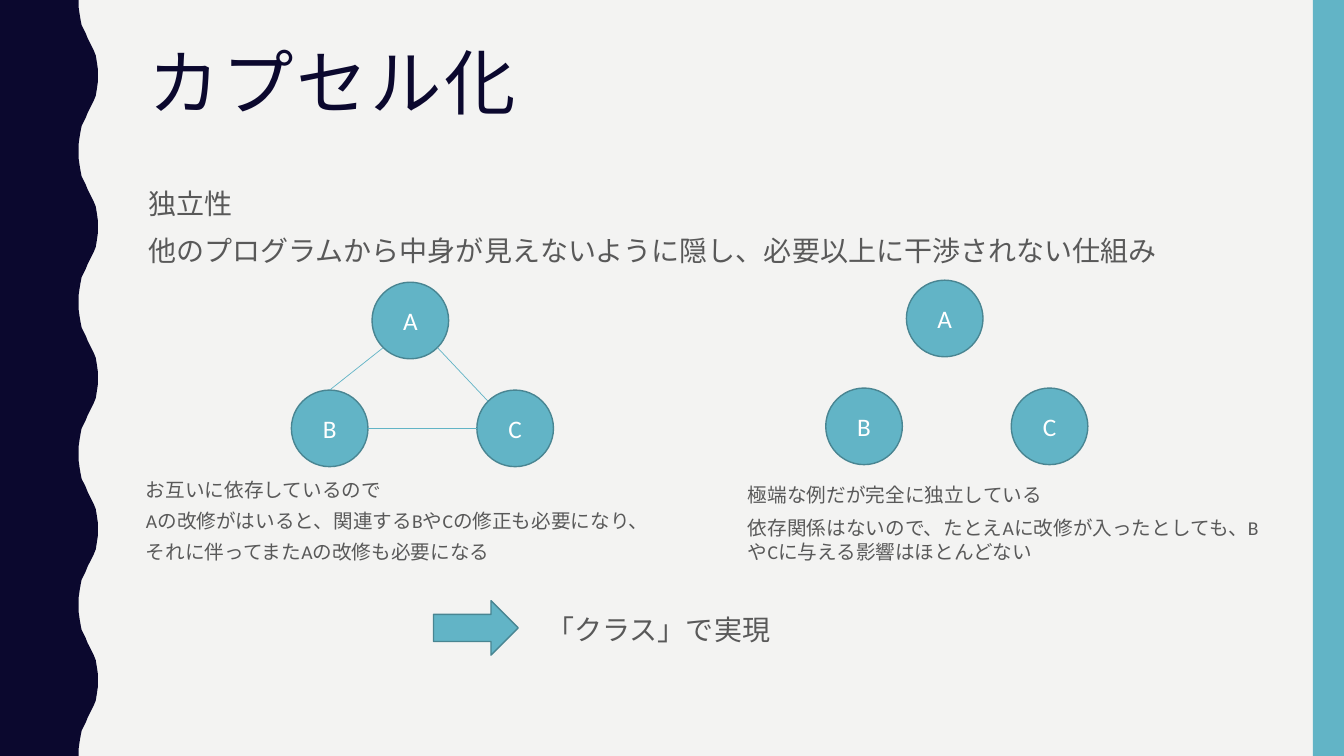
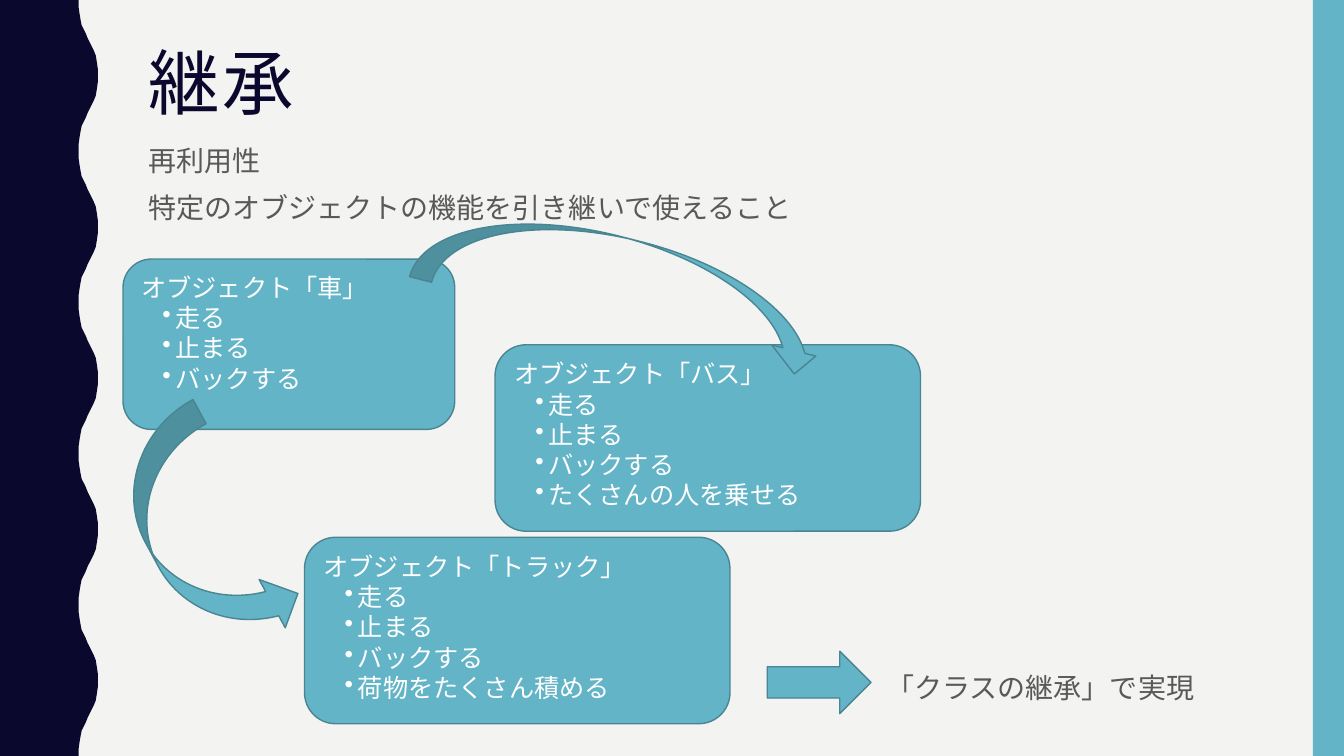
from dataclasses import dataclass

from lxml import etree
from pptx import Presentation
from pptx import util as u
from pptx.dml.color import RGBColor
from pptx.enum import lang, shapes, text
from pptx.oxml import ns

I = u.Inches


@dataclass(frozen=True)
class Theme:
    paper: str = "F3F3F2"
    navy: str = "0B082E"
    teal: str = "62B4C6"
    edge: str = "498592"
    gray: str = "595959"
    white: str = "FFFFFF"
    head: str = "Roboto Condensed"
    body: str = "Calibri"
    huge: int = 51
    large: int = 20
    mid: int = 18
    small: int = 14
    gap: int = 7


T = Theme()
KIND = shapes.MSO_SHAPE
WIDE, HIGH = 13.33, 7.5
TITLE = (1.37, 0.42, 11.13, 1.63)
# Half a wave of the left band, as (x, y); the other half mirrors it
WAVE = [(0.78, 0), (0.78, 0.07), (0.79, 0.14), (0.8, 0.2), (0.81, 0.25),
        (0.83, 0.29), (0.85, 0.33), (0.87, 0.38), (0.89, 0.42), (0.91, 0.46),
        (0.93, 0.5), (0.95, 0.55), (0.96, 0.61), (0.97, 0.68), (0.97, 0.75)]
PERIOD = 1.5


def paint(fill, color):
    fill.solid()
    fill.fore_color.rgb = RGBColor.from_string(color)


def place(item, box):
    item.left, item.top, item.width, item.height = map(I, box)


def add_run(para, words, size, color, face=T.body):
    run = para.add_run()
    run.text = words
    font = run.font
    font.size, font.name = u.Pt(size), face
    font.color.rgb = RGBColor.from_string(color)
    font.language_id = lang.MSO_LANGUAGE_ID.JAPANESE
    return run


def write(frame, lines, size, color, space=None, gap=0, align=None):
    """Fill a text frame, one paragraph for each line."""
    frame.word_wrap = True
    frame.auto_size = text.MSO_AUTO_SIZE.NONE
    frame.vertical_anchor = text.MSO_ANCHOR.TOP
    for n, words in enumerate(lines):
        para = frame.paragraphs[0] if n == 0 else frame.add_paragraph()
        para.alignment = align or text.PP_ALIGN.LEFT
        para.space_before = u.Pt(gap)
        if space:
            para.line_spacing = space
        add_run(para, words, size, color)


def set_mark(para, char=None, left=0, hang=0):
    """Give a paragraph a bullet, or take it away."""
    props = para._p.get_or_add_pPr()
    props.set("marL", str(I(left)))
    props.set("indent", str(-I(hang)))
    tag = etree.SubElement(props, ns.qn("a:buChar" if char else "a:buNone"))
    if char:
        tag.set("char", char)


def add_form(slide, kind, box, turn=0, flip=False):
    form = slide.shapes.add_shape(kind, *map(I, box))
    form.shadow.inherit = False
    paint(form.fill, T.teal)
    paint(form.line.fill, T.edge)
    form.line.width = u.Pt(1)
    form.rotation = turn
    if flip:
        form.element.spPr.get_or_add_xfrm().set("flipV", "1")
    return form


def add_note(slide, box, lines, size, space=None):
    note = slide.shapes.add_textbox(*map(I, box))
    write(note.text_frame, lines, size, T.gray, space, T.gap)


def add_line(slide, start, end):
    line = slide.shapes.add_connector(
        shapes.MSO_CONNECTOR.STRAIGHT, *map(I, (*start, *end)))
    paint(line.line.fill, T.teal)
    line.line.width = u.Pt(0.5)
    etree.SubElement(line.element.spPr, ns.qn("a:effectLst"))


# Shared background and side bands, kept in the layout
def dress(slide, layout):
    paint(layout.background.fill, T.paper)
    half = WAVE + [(x, PERIOD - y) for x, y in WAVE[-2:0:-1]]
    curve = [(x, y + n * PERIOD) for n in range(5) for x, y in half]
    curve += [(WAVE[0][0], HIGH), (0, HIGH)]
    pen = slide.shapes.build_freeform(0, 0, scale=1.0)
    pen.add_line_segments([(I(x), I(y)) for x, y in curve])
    wave = pen.convert_to_shape()
    band = slide.shapes.add_shape(
        KIND.RECTANGLE, *map(I, (13.02, 0, 0.31, HIGH)))
    for spot, (part, color) in enumerate([(wave, T.navy), (band, T.teal)]):
        part.shadow.inherit = False
        paint(part.fill, color)
        part.line.fill.background()
        layout.shapes.element.insert(2 + spot, part.element)


# Title and lead text
def add_head(slide, title, lead, top, high):
    head, body = slide.shapes.title, slide.placeholders[1]
    place(head, TITLE)
    write(head.text_frame, [], T.huge, T.navy)
    para = head.text_frame.paragraphs[0]
    para.alignment, para.line_spacing = text.PP_ALIGN.LEFT, 0.9
    run = add_run(para, title, T.huge, T.navy, T.head)
    run.font._element.set("spc", "200")
    place(body, (TITLE[0], top, TITLE[2], high))
    write(body.text_frame, lead, T.large, T.gray, 1.1, T.gap)
    for para in body.text_frame.paragraphs:
        set_mark(para)


# Three circles, joined or free
def add_trio(slide, left, top, joined):
    size, diag = 0.76, 0.27
    mid = {}
    for name, dx, dy in [("A", 0.8, 0), ("B", 0, 1.07), ("C", 1.84, 1.07)]:
        x, y = left + dx, top + dy
        disc = add_form(slide, KIND.OVAL, (x, y, size, size))
        write(disc.text_frame, [name], T.mid, T.white,
              align=text.PP_ALIGN.CENTER)
        disc.text_frame.vertical_anchor = text.MSO_ANCHOR.MIDDLE
        mid[name] = x + size / 2, y + size / 2
    if not joined:
        return
    (ax, ay), (bx, by), (cx, cy) = mid["A"], mid["B"], mid["C"]
    rad = size / 2
    add_line(slide, (ax - diag, ay + diag), (bx, by - rad))
    add_line(slide, (ax + diag, ay + diag), (cx - diag, cy - diag))
    add_line(slide, (bx + rad, by), (cx - rad, cy))


# Object card with its list of actions
def add_card(slide, box, name, acts):
    card = add_form(slide, KIND.ROUNDED_RECTANGLE, box)
    write(card.text_frame, [f"オブジェクト「{name}」", *acts], T.mid, T.white)
    for para in card.text_frame.paragraphs[1:]:
        set_mark(para, "•", 0.34, 0.13)


# Closing arrow and its phrase
def add_end(slide, arrow, box, words):
    add_note(slide, box, [words], T.large, 1.1)
    add_form(slide, KIND.RIGHT_ARROW, arrow)


def draw_capsule(slide):
    add_head(slide, "カプセル化", [
        "独立性",
        "他のプログラムから中身が見えないように隠し、必要以上に干渉されない仕組み",
    ], 1.77, 1.23)
    add_trio(slide, 2.89, 2.8, True)
    add_note(slide, (1.35, 4.72, 5.43, 0.94), [
        "お互いに依存しているので",
        "Aの改修がはいると、関連するBやCの修正も必要になり、",
        "それに伴ってまたAの改修も必要になる",
    ], T.small, 0.9)
    add_trio(slide, 8.19, 2.78, False)
    add_note(slide, (7.32, 4.74, 5.43, 0.94), [
        "極端な例だが完全に独立している",
        "依存関係はないので、たとえAに改修が入ったとしても、"
        "BやCに与える影響はほとんどない",
    ], T.small)
    add_end(slide, (4.3, 5.96, 0.84, 0.54), (5.32, 5.99, 5.43, 0.48),
            "「クラス」で実現")


def draw_heir(slide):
    add_head(slide, "継承", [
        "再利用性", "特定のオブジェクトの機能を引き継いで使えること",
    ], 1.34, 1.28)
    acts = ["走る", "止まる", "バックする"]
    add_card(slide, (1.22, 2.57, 3.29, 1.69), "車", acts)
    add_form(slide, KIND.CURVED_UP_ARROW, (0.79, 4.76, 2.46, 1.09), 61.6)
    add_card(slide, (3.02, 5.33, 4.22, 1.85), "トラック",
             acts + ["荷物をたくさん積める"])
    add_card(slide, (4.91, 3.42, 4.22, 1.85), "バス",
             acts + ["たくさんの人を乗せる"])
    add_form(slide, KIND.CURVED_UP_ARROW, (4.11, 2.37, 4.16, 0.9), 14.2, True)
    add_end(slide, (7.61, 6.46, 1.03, 0.62), (8.69, 6.57, 3.79, 0.55),
            "「クラスの継承」で実現")


def main():
    prs = Presentation()
    prs.slide_width, prs.slide_height = I(WIDE), I(HIGH)
    layout = prs.slide_layouts[1]
    first, second = [prs.slides.add_slide(layout) for _ in range(2)]
    dress(first, layout)
    draw_capsule(first)
    draw_heir(second)
    prs.save("out.pptx")


if __name__ == "__main__":
    main()
